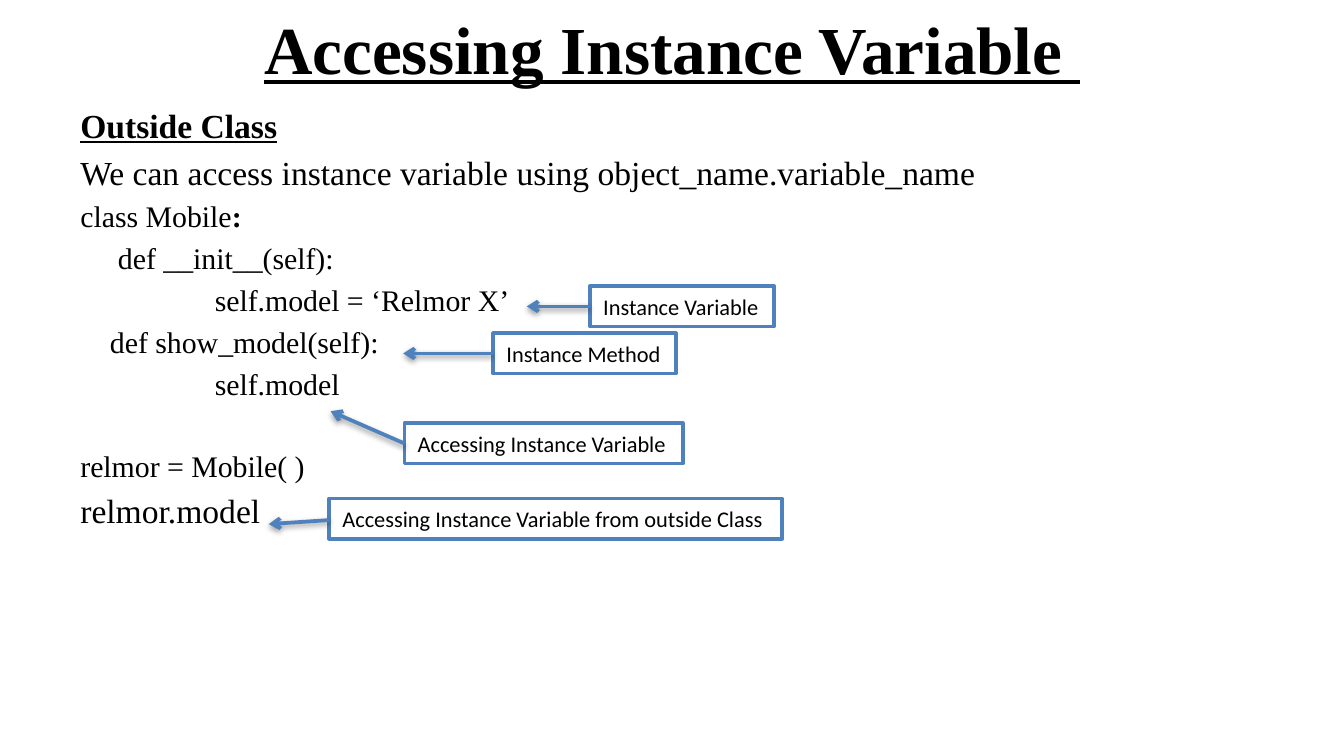
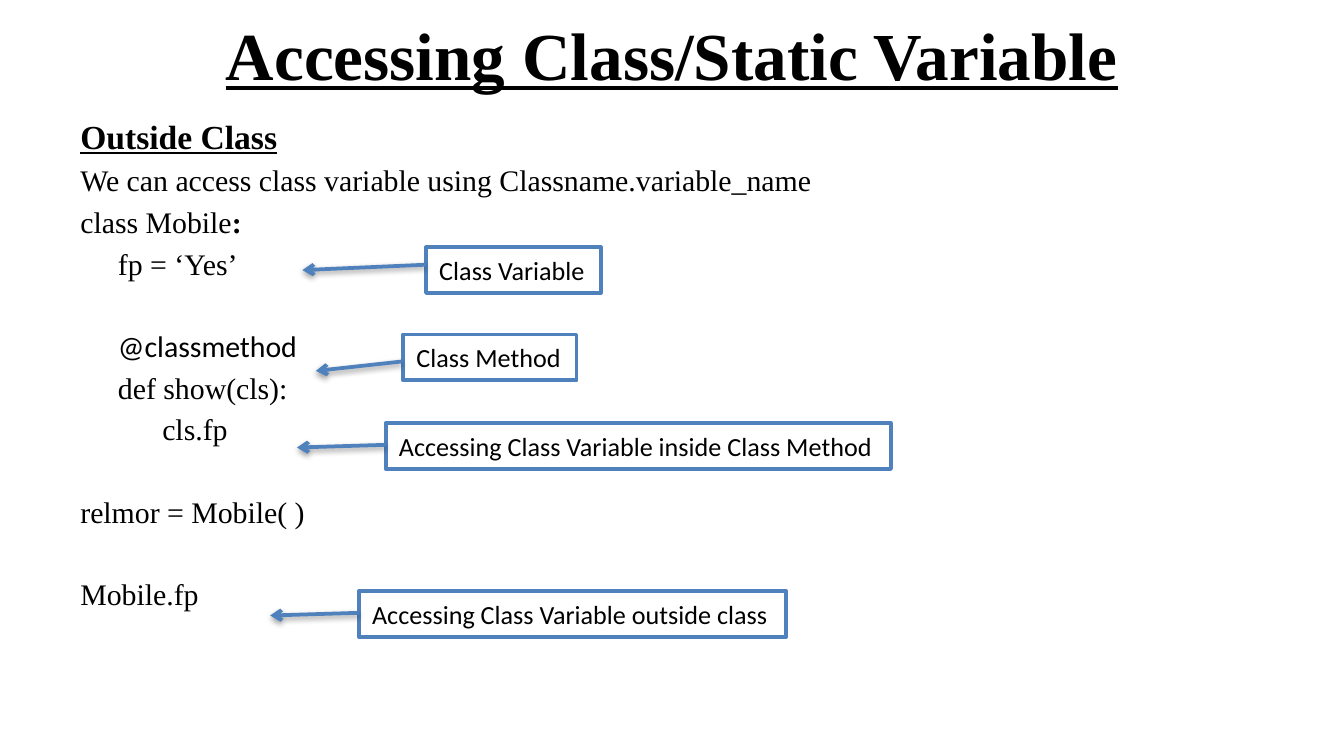
"""Build two slides on reaching instance and class variables in Python."""
from dataclasses import dataclass

from lxml.etree import SubElement
from pptx import Presentation
from pptx.dml.color import RGBColor
from pptx.enum.shapes import MSO_CONNECTOR as Link, MSO_SHAPE as Form
from pptx.enum.text import MSO_ANCHOR as Anchor, PP_ALIGN as Align
from pptx.oxml.ns import qn
from pptx.util import Pt

SCALE = 4572
SERIF, SANS = "Times New Roman", "Calibri"
BLACK, WHITE, BLUE = "000000", "FFFFFF", "4F81BD"
STEP, TAB, BLANK = 56, 200, 21.6


@dataclass
class Line:
    text: str
    size: int = 16
    left: int = 0
    font: str = SERIF
    head: bool = False
    colon: bool = False
    skip: bool = False


@dataclass
class Note:
    text: str
    box: tuple[int, int, int, int]
    start: tuple[int, int]
    end: tuple[int, int]


@dataclass
class Page:
    title: str
    top: int
    size: int
    lines: list[Line]
    notes: list[Note]


HEAD = Line("Outside Class", 18, head=True)
CLASS = Line("class Mobile", colon=True)
MAKE = Line("relmor = Mobile( )", skip=True)

PAGES = [
    Page("Accessing Instance Variable ", 146, 12, [
        HEAD,
        Line("We can access instance variable using object_name.variable_name", 18),
        CLASS,
        Line("def __init__(self):", left=STEP),
        Line("self.model = ‘Relmor X’", left=TAB),
        Line("def show_model(self):", left=44),
        Line("self.model", left=TAB),
        MAKE,
        Line("relmor.model", 18),
    ], [
        Note("Instance Variable", (878, 426, 274, 60), (878, 456), (784, 456)),
        Note("Instance Method", (734, 496, 272, 60), (734, 526), (600, 526)),
        Note("Accessing Instance Variable", (602, 630, 414, 60), (602, 660), (492, 612)),
        Note("Accessing Instance Variable from outside Class", (490, 742, 674, 60),
             (490, 774), (400, 780)),
    ]),
    Page("Accessing Class/Static Variable", 162, 14, [
        HEAD,
        Line("We can access class variable using Classname.variable_name"),
        CLASS,
        Line("fp = ‘Yes’", left=STEP),
        Line("@classmethod", left=STEP, font=SANS, skip=True),
        Line("def show(cls):", left=STEP),
        Line("cls.fp", left=122),
        MAKE,
        Line("Mobile.fp", skip=True),
    ], [
        Note("Class Variable", (634, 368, 260, 68), (634, 394), (450, 402)),
        Note("Class Method", (600, 498, 258, 68), (598, 538), (470, 552)),
        Note("Accessing Class Variable inside Class Method", (574, 630, 752, 68),
             (574, 662), (442, 666)),
        Note("Accessing Class Variable outside class", (534, 880, 636, 68),
             (534, 912), (402, 916)),
    ]),
]


def px(*vals: int) -> list[int]:
    """Turn px lengths into EMU."""
    return [val * SCALE for val in vals]


def tint(fmt, code: str) -> None:
    """Give a fill or font colour object a hex colour."""
    fmt.rgb = RGBColor.from_string(code)


def write(para, text: str, *, size: int, font: str = SERIF,
          bold: bool = False, under: bool = False) -> None:
    """Add a formatted run to a paragraph."""
    run = para.add_run()
    run.text = text
    face = run.font
    face.size, face.name, face.bold, face.underline = Pt(size), font, bold, under
    tint(face.color, BLACK)


def frame(slide, *box: int):
    """Add a wrapping text box and return its frame."""
    area = slide.shapes.add_textbox(*px(*box)).text_frame
    area.word_wrap = True
    return area


def draw_title(slide, page: Page) -> None:
    """Draw the underlined slide title."""
    area = frame(slide, 100, -3, 1800, page.top + 3)
    area.vertical_anchor = Anchor.MIDDLE
    para = area.paragraphs[0]
    para.alignment = Align.CENTER
    write(para, page.title, size=36, bold=True, under=True)


def draw_body(slide, page: Page) -> None:
    """Draw the lines of text and code."""
    area = frame(slide, 100, page.top, 1800, 1080 - page.top)
    for pos, line in enumerate(page.lines):
        para = area.add_paragraph() if pos else area.paragraphs[0]
        gap = line.size / 5 if pos else 2
        para.space_before = Pt(gap + BLANK * line.skip)
        para._p.get_or_add_pPr().set("marL", str(line.left * SCALE))
        write(para, line.text, size=line.size, font=line.font,
              bold=line.head, under=line.head)
        if line.colon:
            write(para, ":", size=line.size, bold=True)


def draw_arrow(slide, note: Note) -> None:
    """Draw a shadowed arrow from a label to its code."""
    arrow = slide.shapes.add_connector(Link.STRAIGHT, *px(*note.start, *note.end))
    arrow.line.width = Pt(2)
    tint(arrow.line.color, BLUE)
    SubElement(arrow.line._get_or_add_ln(), qn("a:tailEnd"), type="arrow")
    group = SubElement(arrow._element.spPr, qn("a:effectLst"))
    shade = SubElement(group, qn("a:outerShdw"), blurRad="40000", dist="20000",
                       dir="5400000", rotWithShape="0")
    color = SubElement(shade, qn("a:srgbClr"), val=BLACK)
    SubElement(color, qn("a:alpha"), val="38000")


def draw_note(slide, note: Note, size: int) -> None:
    """Draw a framed label and its arrow."""
    box = slide.shapes.add_shape(Form.RECTANGLE, *px(*note.box))
    box.shadow.inherit = False
    box.fill.solid()
    tint(box.fill.fore_color, WHITE)
    box.line.width = Pt(2)
    tint(box.line.color, BLUE)
    area = box.text_frame
    area.word_wrap = True
    area.margin_right = 0
    para = area.paragraphs[0]
    para.alignment = Align.LEFT
    write(para, note.text, size=size, font=SANS)
    draw_arrow(slide, note)


def main() -> None:
    """Build and save the deck."""
    deck = Presentation()
    deck.slide_width, deck.slide_height = px(2000, 1125)
    for page in PAGES:
        slide = deck.slides.add_slide(deck.slide_layouts[6])
        draw_title(slide, page)
        draw_body(slide, page)
        for note in page.notes:
            draw_note(slide, note, page.size)
    deck.save("out.pptx")


if __name__ == "__main__":
    main()
